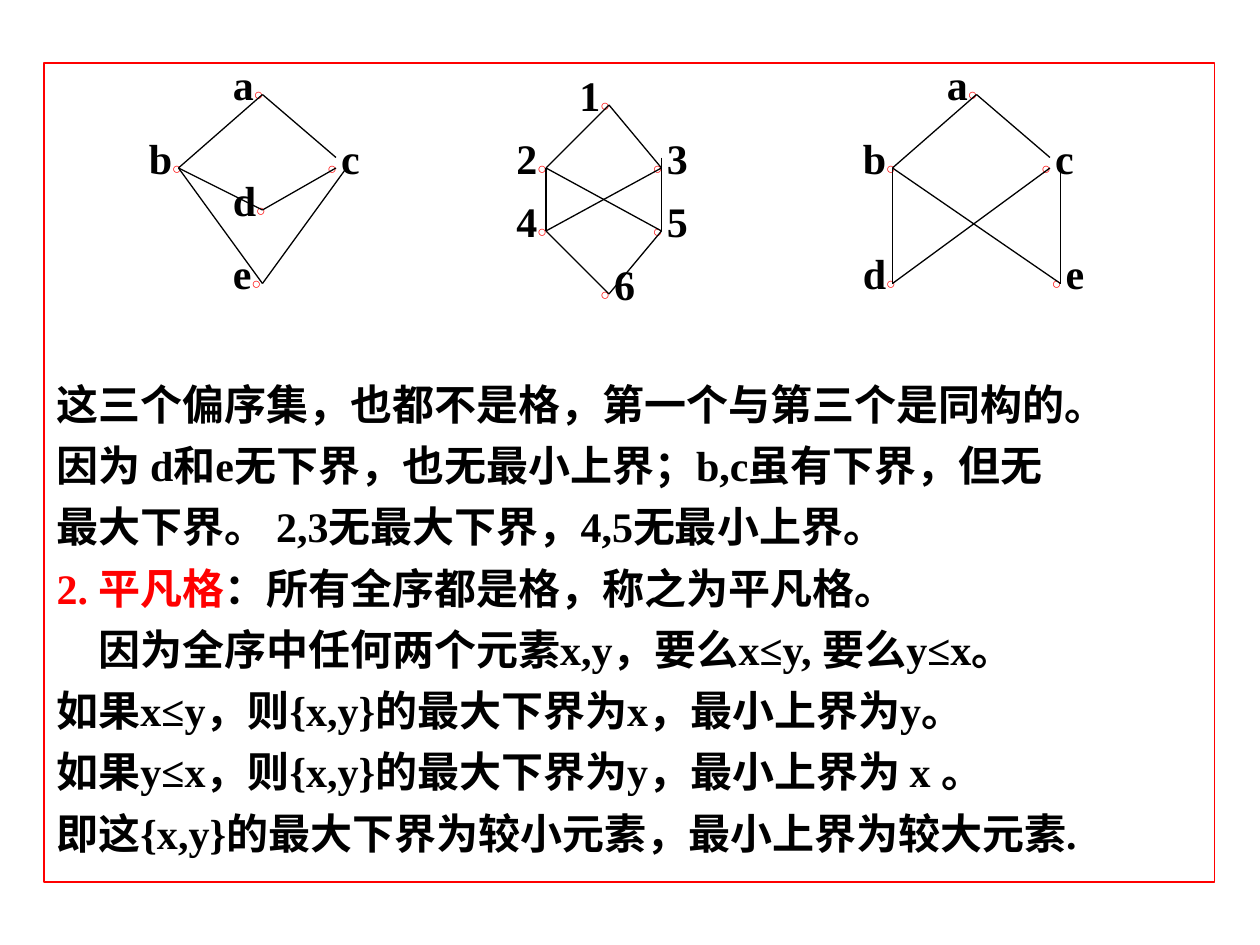
from lxml import etree
from pptx import Presentation
from pptx.dml.color import RGBColor
from pptx.enum.shapes import MSO_CONNECTOR, MSO_SHAPE
from pptx.enum.text import MSO_ANCHOR, PP_ALIGN
from pptx.oxml.ns import qn
from pptx.util import Inches, Pt

STRAIGHT = MSO_CONNECTOR.STRAIGHT
RECTANGLE = MSO_SHAPE.RECTANGLE
TOP = MSO_ANCHOR.TOP
LEFT = PP_ALIGN.LEFT

BLACK = RGBColor(0x00, 0x00, 0x00)
RED = RGBColor(0xFF, 0x00, 0x00)
SERIF = "Times New Roman"
SANS = "Arial"
HANGING = 0.38

# Each diagram: origin, nodes (dot position and side of the label), edges.
# Positions are in twelfths of an inch; an edge ends at a node or at a point.
DIAGRAMS = [
    (
        (13, 5),
        {"a": (12, 4, "left"), "b": (4, 11, "left"), "c": (19, 11, "right"),
         "d": (12, 15, "left"), "e": (12, 22, "left")},
        [("a", "b"), ("b", "d"), ("a", (19, 10)), ("c", "d"),
         ((20, 11), "e"), ("b", "e")],
    ),
    (
        (48, 6),
        {"1": (10, 4, "left"), "2": (4, 10, "left"), "3": (15, 10, "right"),
         "4": (4, 16, "left"), "5": (15, 16, "right"), "6": (10, 22, "right")},
        [("1", "2"), ("1", "3"), ((15, 9), "5"), ("2", "4"),
         ("4", "6"), ("5", "6"), ("3", "4"), ("2", "5")],
    ),
    (
        (81, 5),
        {"a": (12, 4, "left"), "b": (4, 11, "left"), "c": (19, 11, "right"),
         "d": (4, 22, "left"), "e": (20, 22, "right")},
        [("a", "b"), ("b", "d"), ("a", (19, 10)), ("c", "d"),
         ((20, 11), "e"), ("b", "e")],
    ),
]

# Each line: first-line offset in inches, then its coloured spans.
LINES = [
    (0, [("这三个偏序集，也都不是格，第一个与第三个是同构的。", BLACK)]),
    (0, [("因为 d和e无下界，也无最小上界；b,c虽有下界，但无", BLACK)]),
    (0, [("最大下界。 2,3无最大下界，4,5无最小上界。", BLACK)]),
    (0, [("2. 平凡格", RED), ("：所有全序都是格，称之为平凡格。", BLACK)]),
    (0.33, [("因为全序中任何两个元素x,y，要么x≤y, 要么y≤x。", BLACK)]),
    (0, [("如果x≤y，则{x,y}的最大下界为x，最小上界为y。", BLACK)]),
    (0, [("如果y≤x，则{x,y}的最大下界为y，最小上界为 x 。", BLACK)]),
    (0, [("即这{x,y}的最大下界为较小元素，最小上界为较大元素.", BLACK)]),
]


def twelfths(count):
    return Inches(count / 12)


def add_span(para, text, size=24, font=SERIF, color=BLACK):
    span = para.add_run()
    span.text = text
    span.font.size = Pt(size)
    span.font.name = font
    span.font.bold = True
    span.font.color.rgb = color


def add_explanation(page, left, top, width, height):
    box = page.shapes.add_shape(RECTANGLE, left, top, width, height)
    box.shadow.inherit = False
    box.fill.background()
    box.line.color.rgb = RED
    box.line.width = Pt(0.75)
    frame = box.text_frame
    frame.word_wrap = True
    frame.vertical_anchor = TOP
    frame.margin_top = Inches(2.5)
    for index, (offset, spans) in enumerate(LINES):
        para = frame.add_paragraph() if index else frame.paragraphs[0]
        para.alignment = LEFT
        para.line_spacing = Pt(29)
        para.space_before = Pt(6 if index else 0)
        properties = para._p.get_or_add_pPr()
        properties.set("marL", str(Inches(HANGING)))
        properties.set("indent", str(Inches(offset - HANGING)))
        for text, color in spans:
            add_span(para, text, color=color)


def add_edge(group, start, end):
    line = group.shapes.add_connector(STRAIGHT, *start, *end)
    line.line.color.rgb = BLACK
    line.line.width = Pt(0.75)
    etree.SubElement(line._element.spPr, qn("a:effectLst"))


def add_node(group, name, x, y, side):
    """Place a label so that its small circle lies at (x, y)."""
    shift = 4 if side == "left" else 2
    box = group.shapes.add_textbox(
        x - twelfths(shift), y - twelfths(4), Inches(0.54), Inches(0.5))
    box.text_frame.word_wrap = True
    para = box.text_frame.paragraphs[0]
    circle = {"size": 9, "font": SANS, "color": RED}
    if side == "left":
        add_span(para, name)
        add_span(para, "○", **circle)
    else:
        add_span(para, "○ ", **circle)
        add_span(para, name)


def add_diagram(page, left, top, nodes, edges):
    group = page.shapes.add_group_shape()

    def place(point):
        x, y = point[:2]
        return left + twelfths(x), top + twelfths(y)

    for name, node in nodes.items():
        add_node(group, name, *place(node), node[2])
    for start, end in edges:
        add_edge(group, place(nodes.get(start, start)), place(nodes.get(end, end)))


def main():
    deck = Presentation()
    deck.slide_width = Inches(10)
    deck.slide_height = Inches(7.5)
    page = deck.slides.add_slide(deck.slide_layouts[6])
    add_explanation(page, Inches(0.35), Inches(0.5), Inches(9.29), Inches(6.5))
    for (left, top), nodes, edges in DIAGRAMS:
        add_diagram(page, twelfths(left), twelfths(top), nodes, edges)
    deck.save("out.pptx")


if __name__ == "__main__":
    main()
